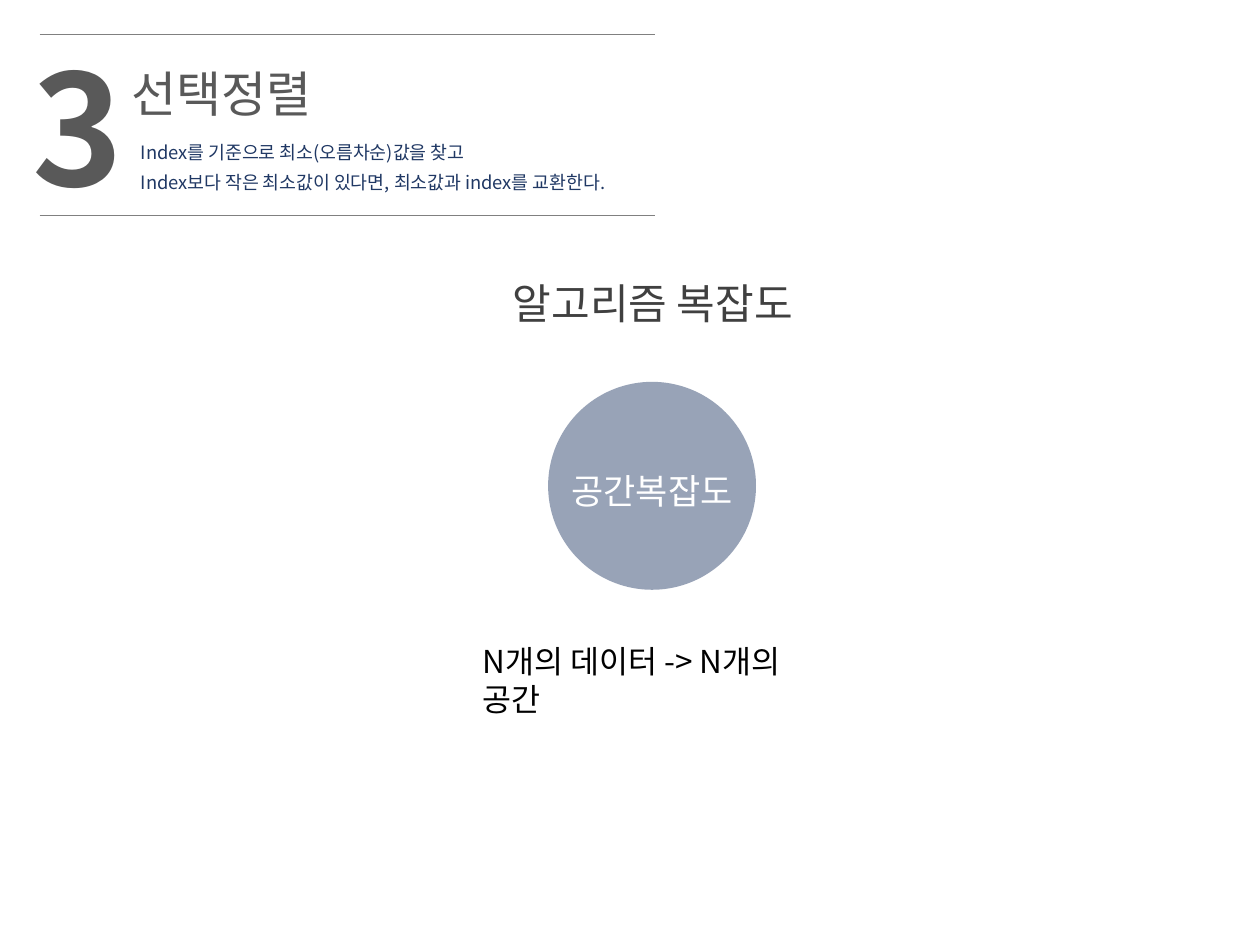
from pptx import Presentation
from pptx.dml.color import RGBColor
from pptx.enum.shapes import MSO_CONNECTOR as Conn, MSO_SHAPE as Shape
from pptx.enum.text import MSO_ANCHOR as Anchor, MSO_AUTO_SIZE as Auto, PP_ALIGN as Align
from pptx.oxml.ns import qn
from pptx.util import Pt
from lxml.etree import SubElement

FACE = "Noto Sans CJK KR"
NAVY = RGBColor(0x20, 0x38, 0x64)
DARK = RGBColor(0x40, 0x40, 0x40)
GRAY = RGBColor(0x59, 0x59, 0x59)
RULE = RGBColor(0x80, 0x80, 0x80)
WHITE = RGBColor(255, 255, 255)
BLACK = RGBColor(0, 0, 0)


def write(box, lines, size, color, align=Align.LEFT, bold=False, pitch=None):
    frame = box.text_frame
    look = {"word_wrap": True, "auto_size": Auto.NONE, "vertical_anchor": Anchor.TOP}
    for key, val in look.items():
        setattr(frame, key, val)
    frame.text = "\n".join(lines)
    for para in frame.paragraphs:
        para.alignment = align
        if pitch:
            para.line_spacing = Pt(pitch)
        for run in para.runs:
            style = {"name": FACE, "size": Pt(size), "bold": bold}
            for key, val in style.items():
                setattr(run.font, key, val)
            run.font.color.rgb = color
            SubElement(run.font._element, qn("a:ea")).set("typeface", FACE)


def place(box, left, top, width, height):
    spot = {"left": left, "top": top, "width": width, "height": height}
    for key, val in spot.items():
        setattr(box, key, Pt(val))


deck = Presentation()
deck.slide_width, deck.slide_height = Pt(720), Pt(540)
slide = deck.slides.add_slide(deck.slide_layouts[5])
shapes = slide.shapes

title = shapes.title
place(title, 67.7, 32.4, 323.3, 41)
write(title, ["선택정렬"], 28, GRAY)

disc = shapes.add_shape(Shape.OVAL, Pt(313.2), Pt(218.2), Pt(118.8), Pt(118.8))
disc.shadow.inherit = False
disc.fill.solid()
disc.fill.fore_color.rgb = NAVY
disc.line.fill.background()
tint = disc._element.spPr.find(qn("a:solidFill"))[0]
SubElement(tint, qn("a:alpha")).set("val", "46000")

rules = [
    "Index를 기준으로 최소(오름차순)값을 찾고",
    "Index보다 작은 최소값이 있다면, 최소값과 index를 교환한다.",
]
mid = {"align": Align.CENTER}
texts = [
    ((313.2, 265, 118.8, 31.7), ["공간복잡도"], 20, WHITE, mid),
    ((268.6, 363.6, 211, 28.8), ["N개의 데이터 -> N개의 공간"], 18, BLACK, {}),
    ((236.9, 154.8, 272.2, 36), ["알고리즘 복잡도"], 24, DARK, mid),
    ((73.4, 72.7, 329, 40.3), rules, 10.5, NAVY, {"pitch": 17}),
    ((11.5, 15.1, 62.6, 113.8), ["3"], 88, GRAY, {"bold": True}),
]
for spot, lines, size, color, style in texts:
    box = shapes.add_textbox(*map(Pt, spot))
    write(box, lines, size, color, **style)

for y in (19.5, 123.3):
    line = shapes.add_connector(Conn.STRAIGHT, Pt(22.6), Pt(y), Pt(374.4), Pt(y))
    line.line.color.rgb = RULE
    line.line.width = Pt(0.5)
    SubElement(line._element.spPr, qn("a:effectLst"))

deck.save("out.pptx")
